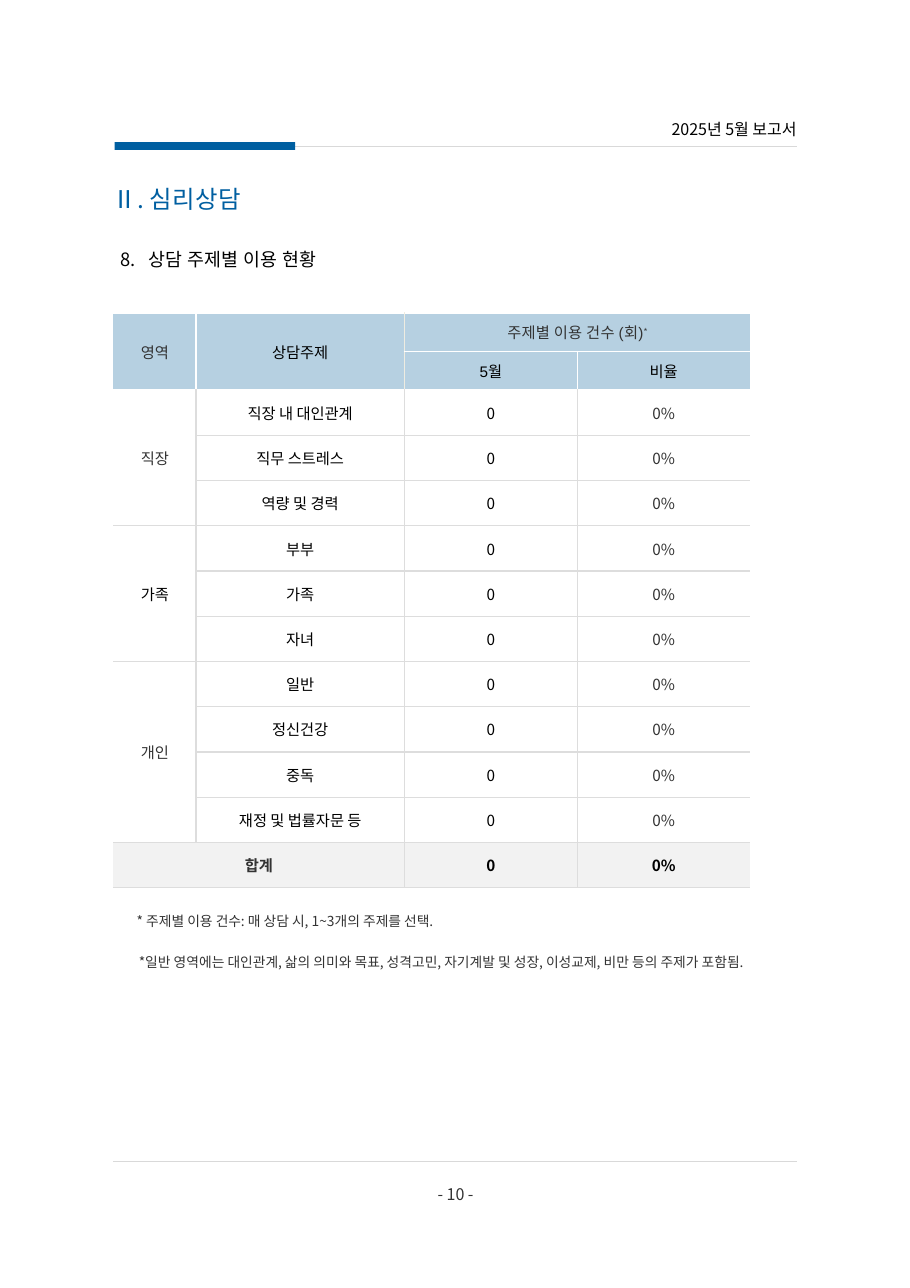
from lxml.etree import SubElement
from pptx import Presentation
from pptx.dml.color import RGBColor
from pptx.enum.shapes import MSO_CONNECTOR as CONN, MSO_SHAPE as SHAPE
from pptx.enum.text import MSO_ANCHOR as ANCHOR, MSO_AUTO_SIZE as AUTO, PP_ALIGN as ALIGN
from pptx.oxml.ns import qn
from pptx.util import Inches, Pt

COLORS = {"blue": "005FA1", "header": "B6D0E1", "total": "F2F2F2", "rule": "D9D9D9",
          "grid": "DDDDDD", "white": "FFFFFF", "cream": "EEECE1", "gray": "333333", "black": "000000"}
NOTO, ARIAL = "Noto Sans CJK KR", "Arial"

REPORT = "2025년 5월 보고서"
TITLE = "Ⅱ. 심리상담"
SUBTITLE = "8.\t상담 주제별 이용 현황"
PAGE = "- 10 -"
NOTES = [
    (1.24, 8.27, 0.17, 1.0, "* 주제별 이용 건수: 매 상담 시, 1~3개의 주제를 선택."),
    (1.26, 8.57, 0.63, 1.5, "*일반 영역에는 대인관계, 삶의 의미와 목표, 성격고민, 자기계발 및 성장, "
                            "이성교제, 비만 등의 주제가 포함됨."),
]
AREAS = [
    ("직장", "gray", ["직장 내 대인관계", "직무 스트레스", "역량 및 경력"]),
    ("가족", "black", ["부부", "가족", "자녀"]),
    ("개인", "gray", ["일반", "정신건강", "중독", "재정 및 법률자문 등"]),
]
COUNT, RATIO = "0", "0%"

LEFT, RIGHT = 1.03, 7.23
COLS = [0.75, 1.89, 1.57, 1.57]
TABLE_TOP, TABLE_H, HEAD_H, HEAD_ROWS = 2.84, 5.22, 0.35, 2


def rgb(name):
    return RGBColor.from_string(COLORS[name])


def write(tf, *runs, size=10, font=NOTO, color="black", bold=False, align=ALIGN.LEFT,
          spacing=1.0, before=0, spc=0, raised=()):
    p = tf.paragraphs[0]
    p.alignment, p.line_spacing, p.space_before = align, spacing, Pt(before)
    for text in runs:
        r = p.add_run()
        r.text = text
        f = r.font
        f.size, f.name, f.bold, f.color.rgb = Pt(size), font, bold, rgb(color)
        rpr = f._element
        SubElement(rpr, qn("a:ea")).set("typeface", NOTO)
        if text in raised:
            rpr.set("baseline", "30000")
        elif spc:
            rpr.set("spc", str(round(spc * 100)))
    return p


def frame(sp, top_inset=0.01, side_inset=0, bottom_inset=0):
    tf = sp.text_frame
    tf.word_wrap, tf.auto_size, tf.vertical_anchor = True, AUTO.NONE, ANCHOR.TOP
    tf.margin_left = tf.margin_right = Inches(side_inset)
    tf.margin_top, tf.margin_bottom = Inches(top_inset), Inches(bottom_inset)
    return tf


def text_box(slide, x, y, w, h, *runs, inset=0.01, **fmt):
    sp = slide.shapes.add_textbox(Inches(x), Inches(y), Inches(w), Inches(h))
    return write(frame(sp, inset), *runs, **fmt)


def rule(slide, x1, x2, y):
    line = slide.shapes.add_connector(CONN.STRAIGHT, Inches(x1), Inches(y), Inches(x2), Inches(y))
    line.line.color.rgb, line.line.width = rgb("rule"), Pt(0.75)
    SubElement(line._element.spPr, qn("a:effectLst"))


def border(cell, tag, color):
    ln = SubElement(cell._tc.get_or_add_tcPr(), qn("a:" + tag), w=str(Pt(1)))
    if color:
        SubElement(SubElement(ln, qn("a:solidFill")), qn("a:srgbClr")).set("val", COLORS[color])
    else:
        SubElement(ln, qn("a:noFill"))


def edge_color(row, col, tag, last_col):
    if (tag, col) in (("lnL", 0), ("lnR", last_col)):
        return None
    if row < HEAD_ROWS:
        return "cream" if (tag, col) in (("lnR", 1), ("lnL", 2)) else "white"
    return "white" if (row, tag) == (HEAD_ROWS, "lnT") else "grid"


def build_table(slide):
    total = HEAD_ROWS + sum(len(topics) for _, _, topics in AREAS)
    n_rows, n_cols = total + 1, len(COLS)
    shape = slide.shapes.add_table(n_rows, n_cols, Inches(LEFT), Inches(TABLE_TOP),
                                   Inches(sum(COLS)), Inches(TABLE_H))
    table = shape.table
    table.first_row = table.horz_banding = False
    row_h = (TABLE_H - HEAD_ROWS * HEAD_H) / (n_rows - HEAD_ROWS)
    for col, w in zip(table.columns, COLS):
        col.width = Inches(w)
    for i, row in enumerate(table.rows):
        row.height = Inches(HEAD_H if i < HEAD_ROWS else row_h)

    owner = {(r, c): (r, c) for r in range(n_rows) for c in range(n_cols)}

    def put(r, c, *runs, span=(1, 1), **fmt):
        if span != (1, 1):
            table.cell(r, c).merge(table.cell(r + span[0] - 1, c + span[1] - 1))
            owner.update({(r + i, c + j): (r, c) for i in range(span[0]) for j in range(span[1])})
        write(table.cell(r, c).text_frame, *runs, align=ALIGN.CENTER, **fmt)

    put(0, 0, "영역", span=(2, 1), font=ARIAL, color="gray")
    put(0, 1, "상담주제", span=(2, 1), font=ARIAL)
    put(0, 2, "주제별 이용 건수 ", "(회)", "*", span=(1, 2), font=ARIAL, color="gray",
        spc=0.2, raised=("*",))
    put(1, 2, "5월", font=ARIAL)
    put(1, 3, "비율", font=ARIAL)
    r = HEAD_ROWS
    for area, color, topics in AREAS:
        put(r, 0, area, span=(len(topics), 1), font=ARIAL, color=color)
        for topic in topics:
            put(r, 1, topic)
            put(r, 2, COUNT)
            put(r, 3, RATIO, color="gray")
            r += 1
    put(total, 0, "합계", span=(1, 2), font=ARIAL, color="gray", bold=True)
    put(total, 2, COUNT, bold=True)
    put(total, 3, RATIO, bold=True)

    sides = {"lnL": (0, -1), "lnR": (0, 1), "lnT": (-1, 0), "lnB": (1, 0)}
    for (r, c), own in owner.items():
        cell = table.cell(r, c)
        cell.vertical_anchor = ANCHOR.MIDDLE
        cell.margin_left = cell.margin_right = Inches(0.04)
        cell.margin_top = cell.margin_bottom = Inches(0.04 if r < HEAD_ROWS or c == 0 else 0.01)
        for tag, (dr, dc) in sides.items():
            if owner.get((r + dr, c + dc)) != own:
                border(cell, tag, edge_color(r, c, tag, n_cols - 1))
        if r < HEAD_ROWS or r == total:
            cell.fill.solid()
            cell.fill.fore_color.rgb = rgb("header" if r < HEAD_ROWS else "total")
        else:
            cell.fill.background()


def main():
    prs = Presentation()
    prs.slide_width, prs.slide_height = Inches(8.26), Inches(11.69)
    slide = prs.slides.add_slide(prs.slide_layouts[5])

    title = slide.shapes.title
    title.left, title.top, title.width, title.height = map(Inches, (0.92, 1.62, 2.34, 0.37))
    write(frame(title, 0.05, 0.1, 0.05), TITLE, size=16, color="blue", spc=0.2)

    rule(slide, 2.51, RIGHT, 1.33)
    bar = slide.shapes.add_shape(SHAPE.RECTANGLE, *map(Inches, (1.04, 1.29, 1.64, 0.07)))
    bar.shadow.inherit = False
    bar.fill.solid()
    bar.fill.fore_color.rgb = rgb("blue")
    bar.line.fill.background()
    rule(slide, LEFT, RIGHT, 10.54)

    text_box(slide, 5.54, 1.07, 1.69, 0.19, REPORT, size=10.5, align=ALIGN.RIGHT, before=1)
    p = text_box(slide, 1.04, 2.07, 6.18, 0.36, SUBTITLE, inset=0.08, size=12, spacing=1.5,
                 before=6, spc=0.2)
    ppr = p._p.get_or_add_pPr()
    ppr.set("marL", str(Inches(0.31)))
    ppr.set("indent", str(Inches(-0.26)))

    build_table(slide)
    for x, y, h, spacing, note in NOTES:
        text_box(slide, x, y, 5.79, h, note, size=9, color="gray", spacing=spacing, before=1)
    text_box(slide, 3.93, 10.72, 0.41, 0.2, PAGE, inset=0.03, size=10.5, color="gray",
             align=ALIGN.CENTER, before=1.9)
    prs.save("out.pptx")


if __name__ == "__main__":
    main()
